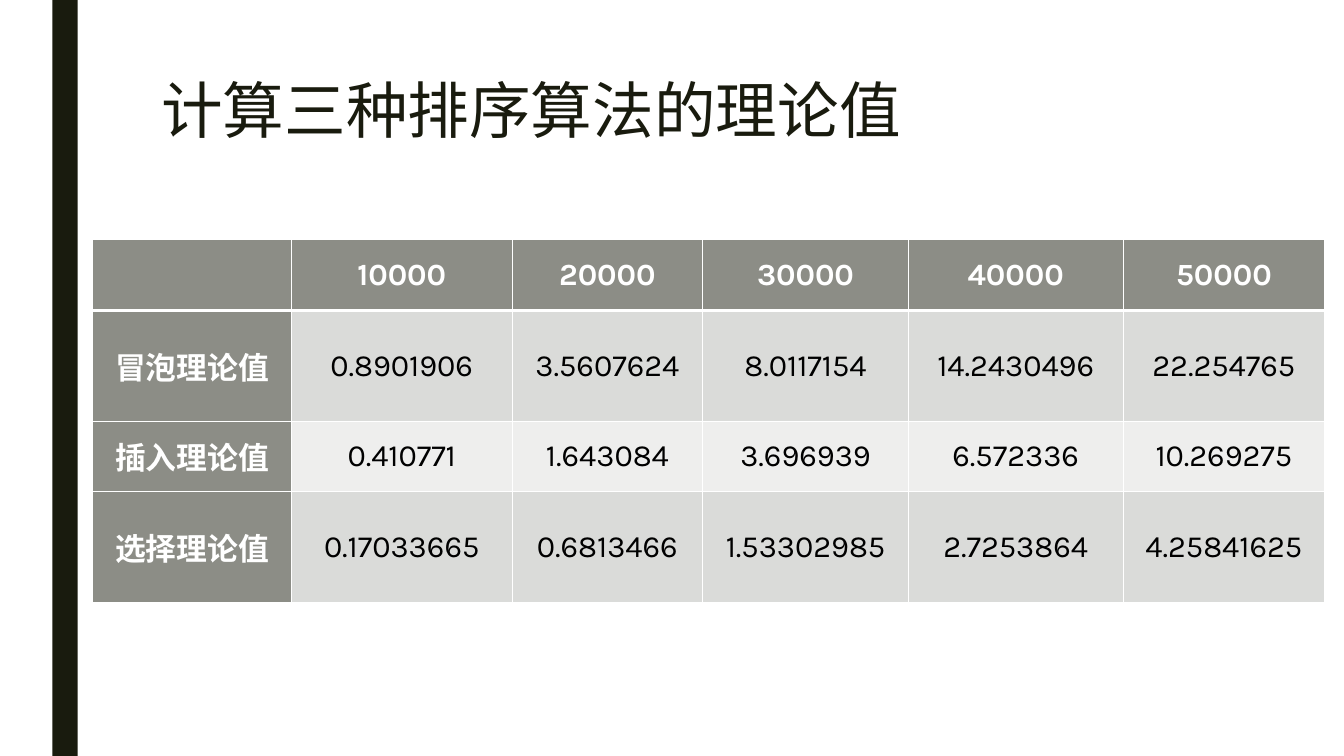
from dataclasses import dataclass

from lxml import etree
from pptx import Presentation
from pptx.dml.color import RGBColor
from pptx.enum import shapes, text
from pptx.oxml import ns
from pptx.util import Inches, Pt


@dataclass(frozen=True)
class Theme:
    font: str = "Karla"
    dark: str = "191B0E"
    head: str = "8C8D86"
    odd: str = "DADBD9"
    even: str = "EEEEED"
    white: str = "FFFFFF"
    black: str = "000000"
    title: int = 44
    body: int = 22


@dataclass(frozen=True)
class Row:
    label: str
    values: tuple[str, ...]
    height: float


THEME = Theme()
WIDTHS = (1.97, 2.19, 1.89, 2.04, 2.13, 2)
ROWS = (
    Row("", ("10000", "20000", "30000", "40000", "50000"), 0.7),
    Row("冒泡理论值", ("0.8901906", "3.5607624", "8.0117154", "14.2430496", "22.254765"), 1.1),
    Row("插入理论值", ("0.410771", "1.643084", "3.696939", "6.572336", "10.269275"), 0.7),
    Row("选择理论值", ("0.17033665", "0.6813466", "1.53302985", "2.7253864", "4.25841625"), 1.1),
)


def style(para, size: int, color: str, bold: bool = False) -> None:
    font = para.font
    font.name, font.size, font.bold = THEME.font, Pt(size), bold
    font.color.rgb = RGBColor.from_string(color)


def add_bar(slide) -> None:
    bar = slide.shapes.add_shape(
        shapes.MSO_SHAPE.RECTANGLE, Inches(0.52), 0, Inches(0.25), Inches(7.5))
    bar.shadow.inherit = False
    bar.fill.solid()
    bar.fill.fore_color.rgb = RGBColor.from_string(THEME.dark)
    bar.line.fill.background()


def set_title(slide, words: str) -> None:
    title = slide.shapes.title
    title.left, title.top = Inches(1.5), Inches(0.75)
    title.width, title.height = Inches(10.5), Inches(1.62)
    frame = title.text_frame
    frame.text = words
    frame.word_wrap = True
    frame.auto_size = text.MSO_AUTO_SIZE.NONE
    frame.vertical_anchor = text.MSO_ANCHOR.TOP
    para = frame.paragraphs[0]
    para.alignment = text.PP_ALIGN.LEFT
    para.line_spacing = 0.89
    style(para, THEME.title, THEME.dark)


def set_edges(cell, top: int, base: int) -> None:
    props = cell._tc.get_or_add_tcPr()
    for side, width in (("L", 1), ("R", 1), ("T", top), ("B", base)):
        line = etree.SubElement(props, ns.qn(f"a:ln{side}"), w=str(Pt(width)))
        fill = etree.SubElement(line, ns.qn("a:solidFill"))
        etree.SubElement(fill, ns.qn("a:srgbClr"), val=THEME.white)


def fill_cell(cell, words: str, row: int, col: int) -> None:
    head = row == 0 or col == 0
    set_edges(cell, 3 if row == 1 else 1, 3 if row == 0 else 1)
    cell.fill.solid()
    shade = THEME.head if head else THEME.odd if row % 2 else THEME.even
    cell.fill.fore_color.rgb = RGBColor.from_string(shade)
    cell.vertical_anchor = text.MSO_ANCHOR.MIDDLE
    cell.margin_left = cell.margin_right = Inches(0.16)
    cell.margin_top = cell.margin_bottom = 0
    cell.text = words
    para = cell.text_frame.paragraphs[0]
    para.alignment = text.PP_ALIGN.CENTER
    style(para, THEME.body, THEME.white if head else THEME.black, head)


def add_grid(slide) -> None:
    frame = slide.shapes.add_table(
        len(ROWS), len(WIDTHS), Inches(0.92), Inches(2.38),
        Inches(sum(WIDTHS)), Inches(sum(row.height for row in ROWS)))
    table = frame.table
    table.first_col = True
    for col, width in zip(table.columns, WIDTHS):
        col.width = Inches(width)
    for r, row in enumerate(ROWS):
        table.rows[r].height = Inches(row.height)
        for c, words in enumerate((row.label, *row.values)):
            fill_cell(table.cell(r, c), words, r, c)


def main() -> None:
    deck = Presentation()
    deck.slide_width, deck.slide_height = Inches(13.33), Inches(7.5)
    slide = deck.slides.add_slide(deck.slide_layouts[5])

    # Side bar and title
    add_bar(slide)
    set_title(slide, "计算三种排序算法的理论值")

    # Theoretical values by input size
    add_grid(slide)
    deck.save("out.pptx")


if __name__ == "__main__":
    main()
